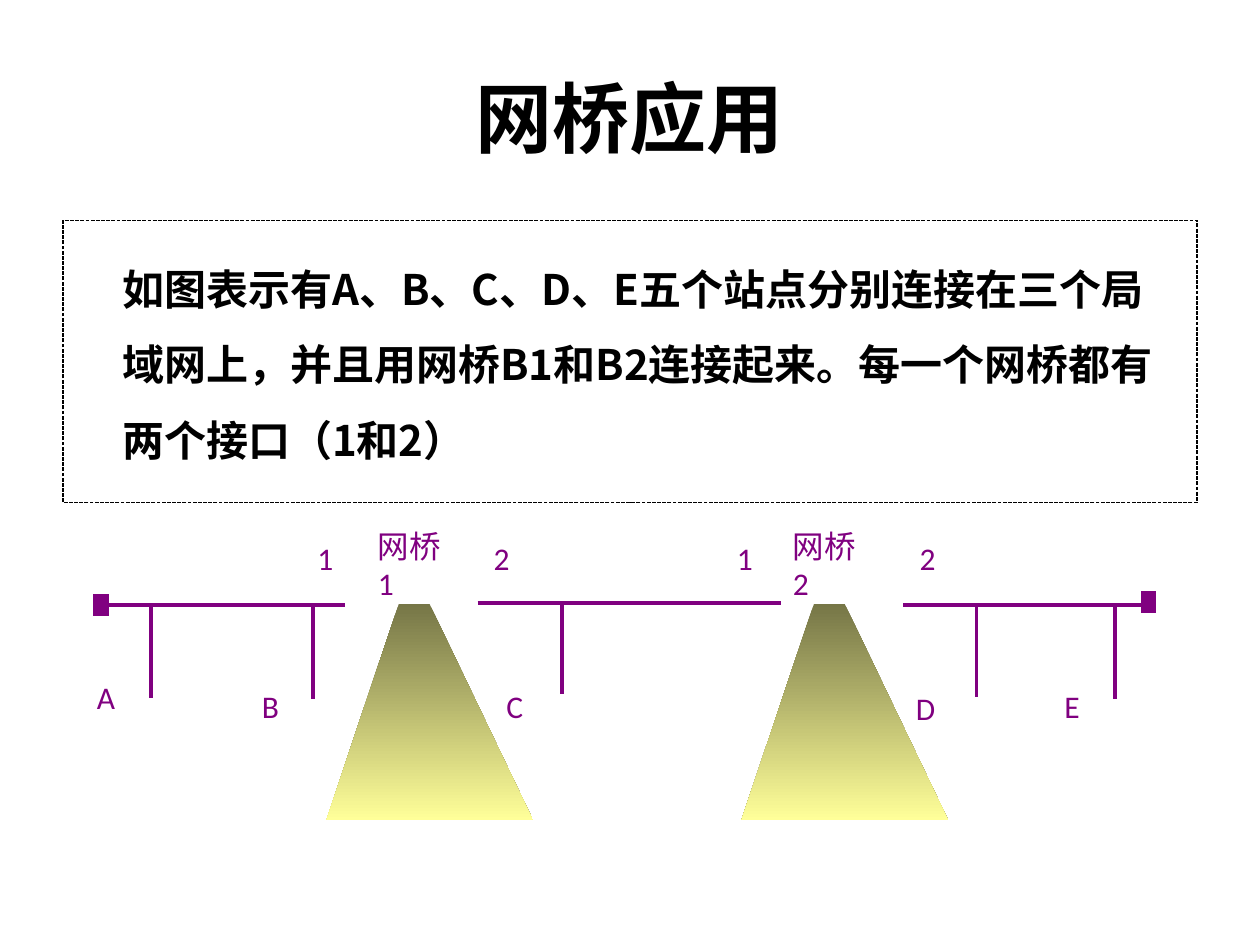
from lxml.etree import SubElement
from pptx import Presentation
from pptx.dml.color import RGBColor
from pptx.enum.dml import MSO_LINE
from pptx.enum.shapes import MSO_CONNECTOR, MSO_SHAPE
from pptx.enum.text import MSO_ANCHOR, PP_ALIGN
from pptx.oxml.ns import qn
from pptx.util import Inches, Pt

COLORS = {"text": "000000", "network": "800080", "beam_top": "767647", "beam_bottom": "FFFF99"}
CELL = 0.1
CJK_FONT = "Noto Sans CJK SC"
DESCRIPTION = (
    "如图表示有A、B、C、D、E五个站点分别连接在三个局域网上，"
    "并且用网桥B1和B2连接起来。每一个网桥都有两个接口（1和2）"
)
BUSES = [(8.2, 27.4, 48.05), (37.9, 62, 47.85), (71.7, 91.1, 48)]
STATIONS = [
    ("A", 12, 48.1, 55.4, 6.7, 53.3),
    ("B", 24.85, 48, 55.5, 19.8, 54),
    ("C", 44.6, 47.8, 55.1, 39.2, 54),
    ("D", 77.5, 48, 55.3, 71.7, 54.2),
    ("E", 88.5, 48, 55.5, 83.5, 54),
]
TERMINATORS = [(7.45, 47.2), (90.6, 47)]
PORTS = [("1", 24.2), ("2", 38.2), ("1", 57.5), ("2", 72)]
BRIDGES = [("1", 25.9), ("2", 58.85)]


def grid(*cells):
    """Convert grid cells to slide lengths."""
    return [Inches(cell * CELL) for cell in cells]


def color(name):
    """Look up a named colour."""
    return RGBColor.from_string(COLORS[name])


def format_run(run, size, color_name="network", bold=False, font="Calibri"):
    """Set the font of a run, for Latin and Chinese letters."""
    run.font.name = font
    run.font.size = Pt(size)
    run.font.bold = bold
    run.font.color.rgb = color(color_name)
    SubElement(run.font._element, qn("a:ea")).set("typeface", CJK_FONT)


def format_outline(shape, color_name, width, dash=None):
    """Give a shape an outline with sharp corners."""
    shape.line.color.rgb = color(color_name)
    shape.line.width = Pt(width)
    if dash:
        shape.line.dash_style = dash
    SubElement(shape.line._get_or_add_ln(), qn("a:miter")).set("lim", "800000")


def add_text(slide, box, pieces, **style):
    """Add a text box made of (text, size) pieces and return its shape."""
    shape = slide.shapes.add_textbox(*grid(*box))
    shape.text_frame.word_wrap = True
    for text, size in pieces:
        run = shape.text_frame.paragraphs[0].add_run()
        run.text = text
        format_run(run, size, **style)
    return shape


def add_title(slide):
    """Add the centred slide title."""
    shape = add_text(slide, (5, 3, 90, 12.5), [("网桥应用", 44)], color_name="text", bold=True)
    shape.text_frame.vertical_anchor = MSO_ANCHOR.MIDDLE
    shape.text_frame.paragraphs[0].alignment = PP_ALIGN.CENTER


def add_description(slide):
    """Add the dashed box that explains the network."""
    shape = add_text(slide, (5, 17.5, 90, 22.4), [(DESCRIPTION, 24)],
                     color_name="text", bold=True, font=CJK_FONT)
    format_outline(shape, "text", 0.75, MSO_LINE.SQUARE_DOT)
    shape.text_frame.margin_left = Inches(0.47)
    shape.text_frame.margin_top = Inches(0.14)
    shape.text_frame.paragraphs[0].line_spacing = 1.5


def add_line(slide, *ends):
    """Add a straight network cable."""
    connector = slide.shapes.add_connector(MSO_CONNECTOR.STRAIGHT, *grid(*ends))
    connector.line.color.rgb = color("network")
    connector.line.width = Pt(2.25)
    SubElement(connector._element.spPr, qn("a:effectLst"))


def add_terminator(slide, column, row):
    """Add the block that ends a bus."""
    shape = slide.shapes.add_shape(MSO_SHAPE.RECTANGLE, *grid(column, row, 1.1, 1.6))
    shape.shadow.inherit = False
    shape.fill.solid()
    shape.fill.fore_color.rgb = color("network")
    format_outline(shape, "network", 1)


def add_bridge(slide, number, column):
    """Add a bridge as a gradient beam with its name on top."""
    points = [grid(column + across, row)
              for across, row in [(0, 65.1), (5.75, 47.95), (8.2, 47.95), (16.4, 65.1)]]
    builder = slide.shapes.build_freeform(*points[0])
    builder.add_line_segments(points[1:], close=True)
    shape = builder.convert_to_shape()
    shape.shadow.inherit = False
    shape.line.fill.background()
    shape.fill.gradient()
    shape.fill.gradient_angle = 270
    for stop, name in zip(shape.fill.gradient_stops, ("beam_top", "beam_bottom")):
        stop.color.rgb = color(name)
    add_text(slide, (column + 3.1, 41.3, 7.6, 4.7), [("网桥", 18), (" ", 8), (number, 18)])


def add_station(slide, name, column, top, bottom, label_column, label_row):
    """Add a station's drop cable and its letter."""
    add_line(slide, column, top, column, bottom)
    add_text(slide, (label_column, label_row, 3.4, 4.7), [(name, 18)])


def main():
    """Build and save the slide."""
    presentation = Presentation()
    presentation.slide_width, presentation.slide_height = grid(100, 75)
    slide = presentation.slides.add_slide(presentation.slide_layouts[6])
    add_title(slide)
    add_description(slide)
    for start, end, row in BUSES:
        add_line(slide, start, row, end, row)
    for terminator in TERMINATORS:
        add_terminator(slide, *terminator)
    for bridge in BRIDGES:
        add_bridge(slide, *bridge)
    for station in STATIONS:
        add_station(slide, *station)
    for number, column in PORTS:
        add_text(slide, (column, 42.3, 3.4, 4.7), [(number, 18)])
    presentation.save("out.pptx")


if __name__ == "__main__":
    main()
